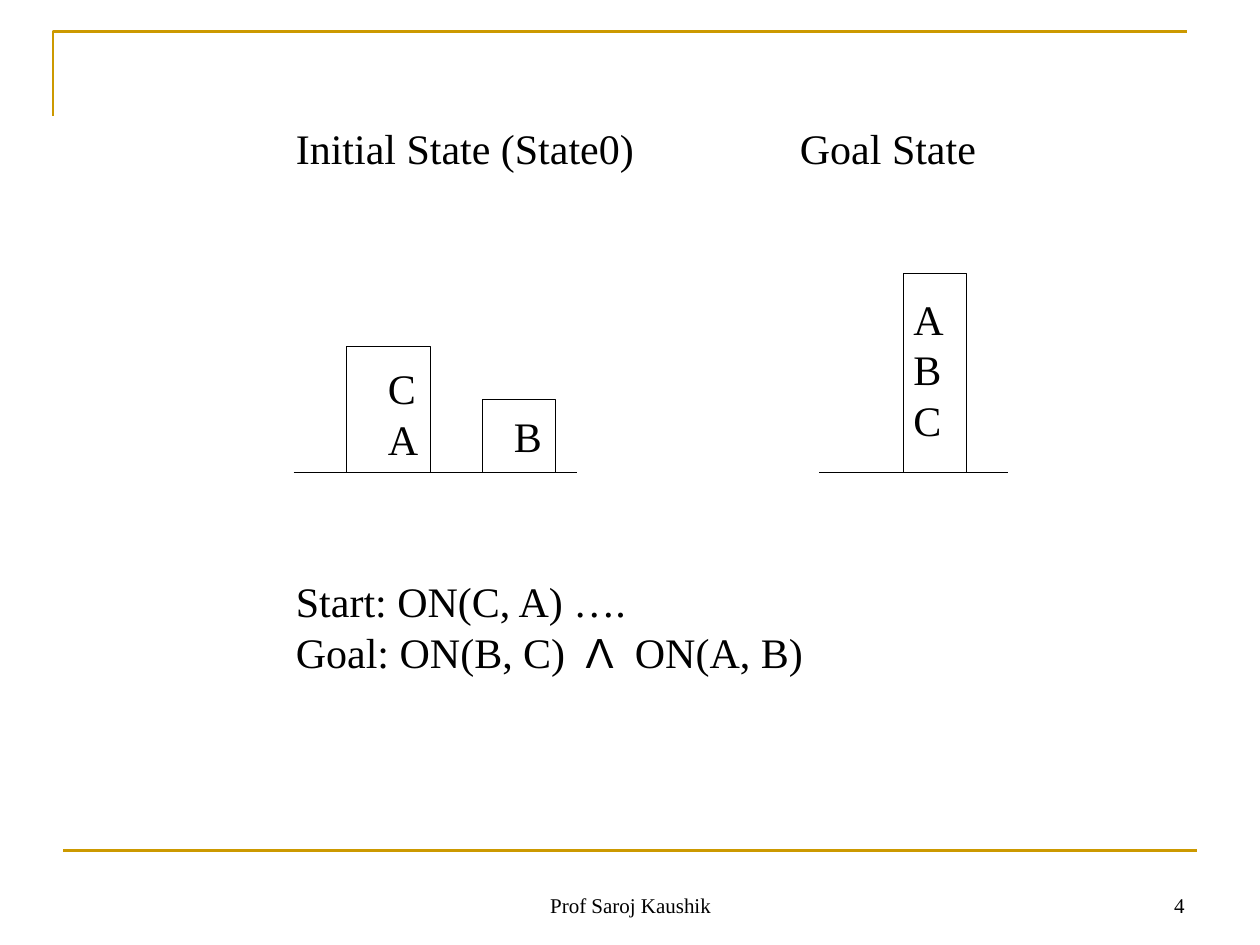
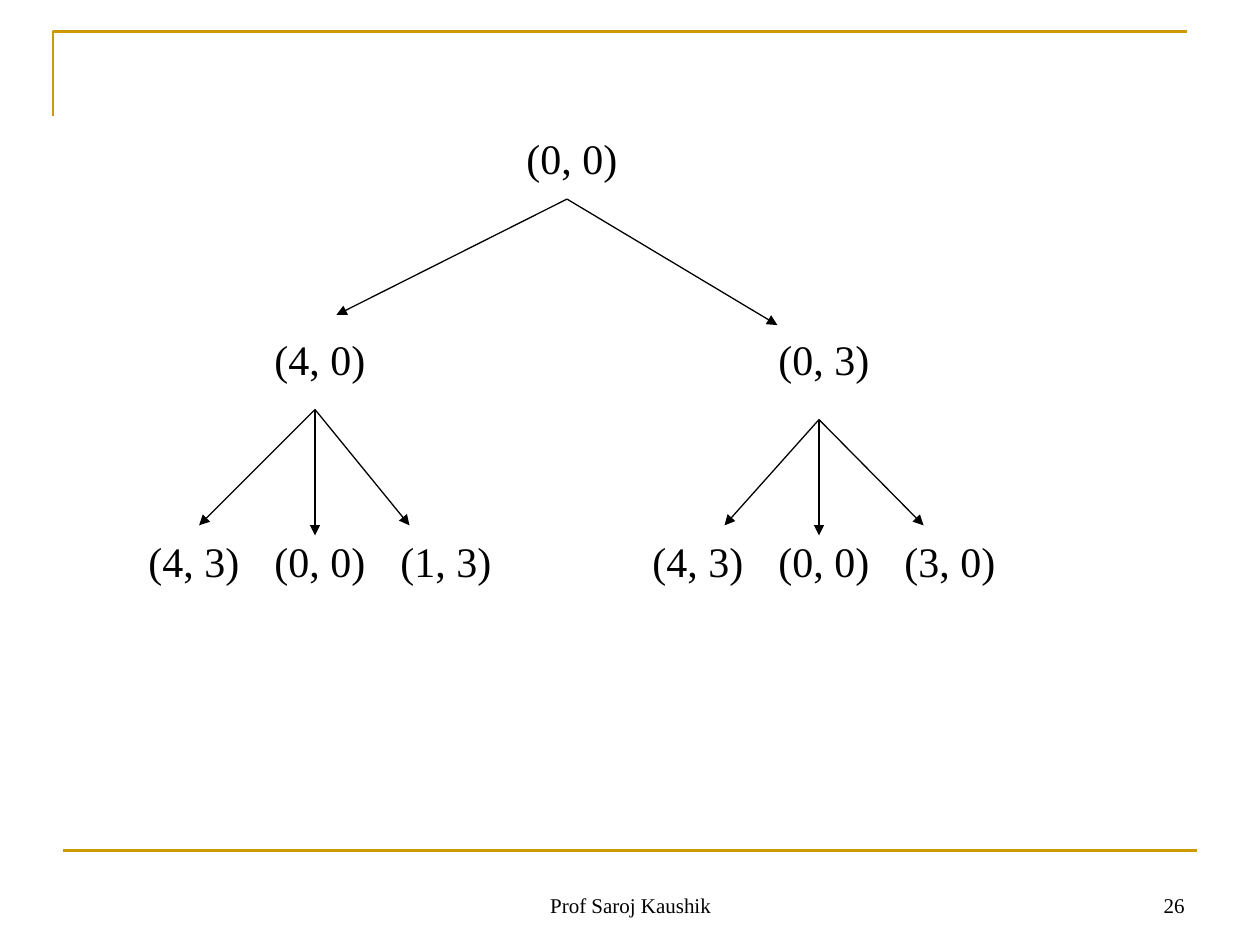
from lxml import etree
from pptx import Presentation
from pptx.dml.color import RGBColor
from pptx.enum.shapes import MSO_CONNECTOR, MSO_SHAPE
from pptx.enum.text import MSO_ANCHOR, PP_ALIGN
from pptx.oxml.ns import qn
from pptx.util import Inches, Pt

STRAIGHT = MSO_CONNECTOR.STRAIGHT
RECTANGLE = MSO_SHAPE.RECTANGLE
TOP, BOTTOM = MSO_ANCHOR.TOP, MSO_ANCHOR.BOTTOM
LEFT, CENTER, RIGHT = PP_ALIGN.LEFT, PP_ALIGN.CENTER, PP_ALIGN.RIGHT

GOLD = RGBColor(0xCC, 0x99, 0x00)
BLACK = RGBColor(0x00, 0x00, 0x00)

WIDTH, HEIGHT = 10, 7.5
SERIF, SANS = "Times New Roman", "Arial"
BODY_SIZE, FOOTER_SIZE = 24, 12
LINE_PITCH = 28.8
TAB_STOPS = tuple(range(8))
FOOTER = "Prof Saroj Kaushik"

BLOCK_LINES = [
    (0, TAB_STOPS, [("\tInitial State (State0)\t\tGoal State", SERIF)]),
    (8, TAB_STOPS, [("\tStart: ON(C, A) ….", SERIF)]),
    (0, (1, 3.3, 3.69), [("\tGoal: ON(B, C)\t", SERIF), ("Λ", SANS),
                         ("\tON(A, B)", SERIF)]),
]
GROUND = 3.75
TABLES = [(2.33, 4.58), (6.5, 8)]
STACKS = [
    {"left": 2.75, "width": 0.67, "height": 1, "blocks": "CA", "text": (2.98, 2.83)},
    {"left": 3.83, "width": 0.58, "height": 0.58, "blocks": "B", "text": (3.98, 3.21)},
    {"left": 7.17, "width": 0.5, "height": 1.58, "blocks": "ABC", "text": (7.15, 2.28)},
]

TREE_LINES = [
    (0, TAB_STOPS, [("\t\t\t(0, 0)", SERIF)]),
    (3, TAB_STOPS, [("\t(4, 0)\t\t\t\t(0, 3)", SERIF)]),
    (3, TAB_STOPS, [("(4, 3)\t(0, 0)\t(1, 3)\t\t(4, 3)\t(0, 0)\t(3, 0)", SERIF)]),
]
TREE_ARROWS = {
    (4.5, 1.58): [(2.67, 2.5), (6.17, 2.58)],
    (2.5, 3.25): [(1.58, 4.17), (2.5, 4.25), (3.25, 4.17)],
    (6.5, 3.33): [(5.75, 4.17), (6.5, 4.25), (7.33, 4.17)],
}


def add_line(slide, start, end, color=BLACK, weight=0.75, arrow=False):
    connector = slide.shapes.add_connector(
        STRAIGHT, *(Inches(value) for value in (*start, *end)))
    connector.line.color.rgb = color
    connector.line.width = Pt(weight)
    if arrow:
        outline = connector.line._get_or_add_ln()
        etree.SubElement(outline, qn("a:tailEnd"), type="triangle")
    etree.SubElement(connector._element.spPr, qn("a:effectLst"))


def style_outline(shape, color, weight):
    shape.fill.background()
    shape.line.color.rgb = color
    shape.line.width = Pt(weight)
    shape.shadow.inherit = False


def add_text(slide, bounds, lines, size=BODY_SIZE, align=LEFT, anchor=TOP, pitch=LINE_PITCH):
    box = slide.shapes.add_textbox(*(Inches(value) for value in bounds))
    frame = box.text_frame
    frame.word_wrap = True
    frame.vertical_anchor = anchor
    for index, (skipped, stops, runs) in enumerate(lines):
        paragraph = frame.paragraphs[0] if index == 0 else frame.add_paragraph()
        paragraph.alignment = align
        if pitch:
            paragraph.line_spacing = Pt(pitch)
        if skipped:
            paragraph.space_before = Pt(skipped * pitch)
        if stops:
            tabs = etree.SubElement(paragraph._p.get_or_add_pPr(), qn("a:tabLst"))
            for stop in stops:
                etree.SubElement(tabs, qn("a:tab"), pos=str(Inches(stop)), algn="l")
        for text, font_name in runs:
            run = paragraph.add_run()
            run.text = text
            run.font.name = font_name
            run.font.size = Pt(size)
            run.font.color.rgb = BLACK


def add_framed_slide(presentation, number):
    slide = presentation.slides.add_slide(presentation.slide_layouts[6])
    builder = slide.shapes.build_freeform(Inches(0.42), Inches(0.92))
    builder.add_line_segments(
        [(Inches(0.42), Inches(0.25)), (Inches(9.42), Inches(0.25))], close=False)
    style_outline(builder.convert_to_shape(), GOLD, 1.5)
    add_line(slide, (0.5, 6.75), (WIDTH - 0.5, 6.75), GOLD, 1.5)
    for left, width, text, align in [(3.42, 3.17, FOOTER, CENTER),
                                     (7.17, 2.33, str(number), RIGHT)]:
        add_text(slide, (left, 6.83, width, 0.5), [(0, (), [(text, SERIF)])],
                 FOOTER_SIZE, align, BOTTOM, None)
    return slide


def build_blocks_slide(presentation):
    slide = add_framed_slide(presentation, 4)
    add_text(slide, (1.25, 0.92, 7.58, 5.51), BLOCK_LINES)
    for left, right in TABLES:
        add_line(slide, (left, GROUND), (right, GROUND))
    for stack in STACKS:
        top = GROUND - stack["height"]
        rectangle = slide.shapes.add_shape(
            RECTANGLE, Inches(stack["left"]), Inches(top),
            Inches(stack["width"]), Inches(stack["height"]))
        style_outline(rectangle, BLACK, 0.75)
        lines = [(0, (), [(block, SERIF)]) for block in stack["blocks"]]
        add_text(slide, (*stack["text"], 0.44, 0.1 + 0.4 * len(lines)), lines)


def build_tree_slide(presentation):
    slide = add_framed_slide(presentation, 26)
    add_text(slide, (1.08, 1, 8.08, 4.5), TREE_LINES)
    for parent, children in TREE_ARROWS.items():
        for child in children:
            add_line(slide, parent, child, arrow=True)


def main():
    presentation = Presentation()
    presentation.slide_width = Inches(WIDTH)
    presentation.slide_height = Inches(HEIGHT)
    build_blocks_slide(presentation)
    build_tree_slide(presentation)
    presentation.save("out.pptx")


if __name__ == "__main__":
    main()
